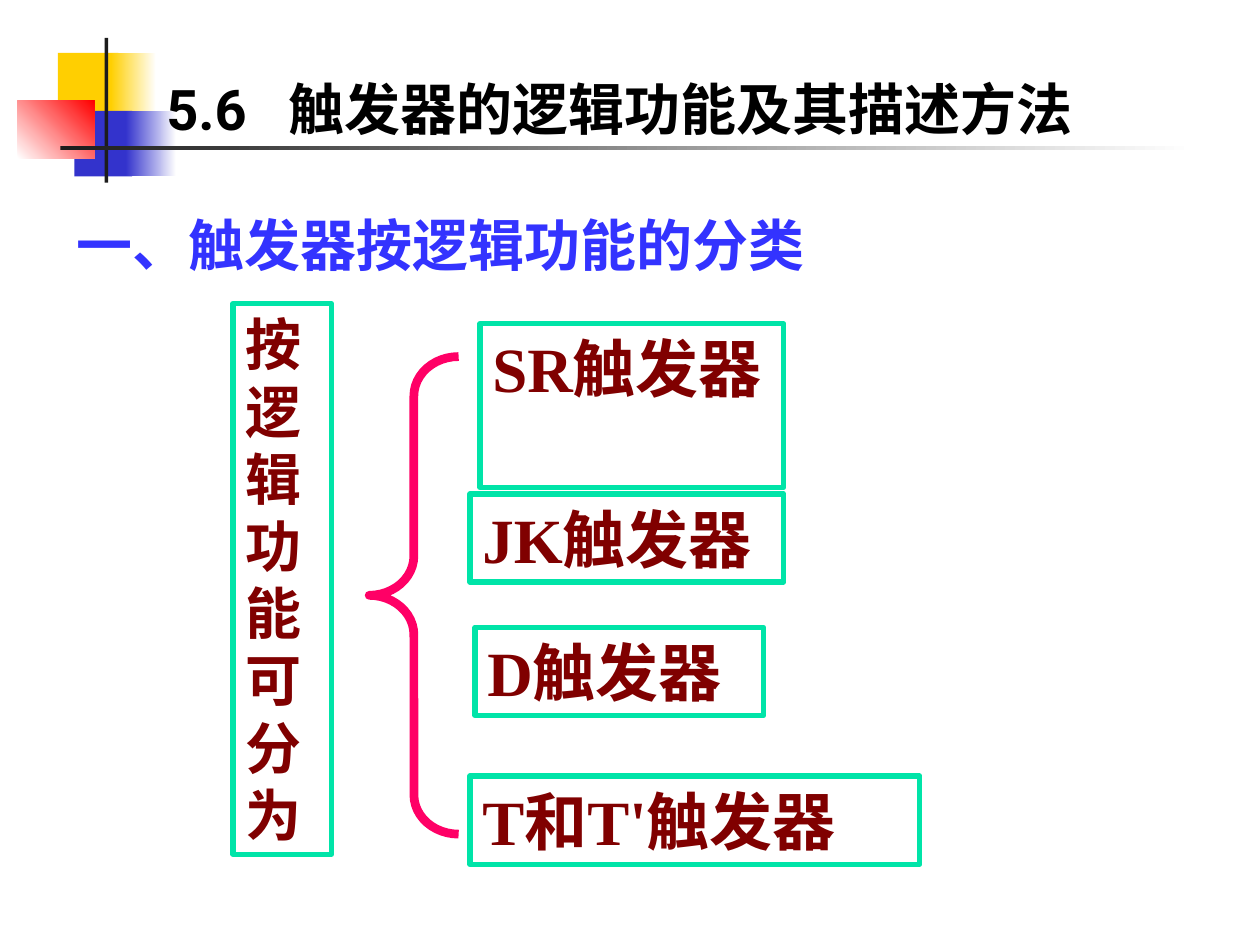
from dataclasses import dataclass

from lxml import etree
from pptx import Presentation, util as u
from pptx.dml.color import RGBColor
from pptx.enum import shapes, text
from pptx.oxml import ns


@dataclass(frozen=True)
class Theme:
    yellow: str = "FFCF01"
    blue: str = "3333CC"
    red: str = "FF0000"
    dark: str = "1C1C1C"
    white: str = "FFFFFF"
    title: str = "000000"
    heading: str = "3333FF"
    label: str = "800000"
    frame: str = "00E4A8"
    brace: str = "FF0066"
    title_font: str = "Roboto"
    body_font: str = "Times New Roman"
    text_size: int = 32
    type_size: int = 36
    frame_width: int = 3
    brace_width: int = 5


THEME = Theme()


def add_shape(kind, box, line=None, width=0):
    """Add an unfilled, shadowless shape; box is left, top, width, height in inches."""
    sp = s.shapes.add_shape(kind, *map(u.Inches, box))
    sp.shadow.inherit = False
    sp.fill.background()
    if line:
        sp.line.color.rgb = RGBColor.from_string(line)
        sp.line.width = u.Pt(width)
    else:
        sp.line.fill.background()
    return sp


def write(sp, words, size, color, font=THEME.body_font, anchor=text.MSO_ANCHOR.TOP):
    """Put one left-aligned bold run in sp and return its paragraph."""
    tf = sp.text_frame
    tf.word_wrap = True
    tf.auto_size = text.MSO_AUTO_SIZE.SHAPE_TO_FIT_TEXT
    tf.vertical_anchor = anchor
    p = tf.paragraphs[0]
    p.alignment = text.PP_ALIGN.LEFT
    r = p.add_run()
    r.text = words
    r.font.name = font
    r.font.size = u.Pt(size)
    r.font.bold = True
    r.font.color.rgb = RGBColor.from_string(color)
    return p


prs = Presentation()
prs.slide_width, prs.slide_height = u.Inches(10), u.Inches(7.5)
s = prs.slides.add_slide(prs.slide_layouts[5])
RECT = shapes.MSO_SHAPE.RECTANGLE

# Corner ornament: box, start colour, end colour, gradient angle
ornament = [
    ((0.46, 0.42, 0.48, 0.52), THEME.yellow, None, 0),
    ((0.88, 0.42, 0.36, 0.52), THEME.yellow, THEME.white, 0),
    ((0.59, 0.88, 0.46, 0.52), THEME.blue, None, 0),
    ((1, 0.88, 0.4, 0.52), THEME.blue, THEME.white, 0),
    ((0.14, 0.8, 0.61, 0.46), THEME.white, THEME.red, 45),
    ((0.83, 0.3, 0.03, 1.15), THEME.dark, None, 0),
    ((0.48, 1.16, 9, 0.03), THEME.dark, THEME.white, 0),
]
for box, start, end, angle in ornament:
    sp = add_shape(RECT, box)
    if end:
        sp.fill.gradient()
        sp.fill.gradient_angle = angle
        for stop, color in zip(sp.fill.gradient_stops, (start, end)):
            stop.color.rgb = RGBColor.from_string(color)
    else:
        sp.fill.solid()
        sp.fill.fore_color.rgb = RGBColor.from_string(start)

# Title, brought in front of the ornament
title = s.shapes.title
s.shapes._spTree.append(title._element)
title.left, title.top, title.width, title.height = map(u.Inches, (1.22, 0.6, 9.65, 0.58))
p = write(title, "5.6\t触发器的逻辑功能及其描述方法", THEME.text_size, THEME.title,
          THEME.title_font, text.MSO_ANCHOR.MIDDLE)
p.line_spacing = 0.9
tabs = etree.SubElement(p._p.get_or_add_pPr(), ns.qn("a:tabLst"))
etree.SubElement(tabs, ns.qn("a:tab"), pos=str(u.Inches(0.97)), algn="l")

# Section heading
heading = s.shapes.add_textbox(*map(u.Inches, (0.51, 1.62, 6.14, 0.64)))
write(heading, "一、触发器按逻辑功能的分类", THEME.text_size, THEME.heading)

# Classification: root label, brace, flip-flop types
root = add_shape(RECT, (1.85, 2.41, 0.78, 4.37), THEME.frame, THEME.frame_width)
write(root, "按逻辑功能可分为", THEME.text_size, THEME.label)

brace = add_shape(shapes.MSO_SHAPE.LEFT_BRACE, (2.93, 2.83, 0.71, 3.79),
                  THEME.brace, THEME.brace_width)
brace.adjustments[0] = 0.44

flip_flops = [
    ("SR触发器", (3.81, 2.57, 2.41, 1.3)),
    ("JK触发器", (3.73, 3.92, 2.49, 0.7)),
    ("D触发器", (3.77, 4.98, 2.29, 0.7)),
    ("T和T'触发器", (3.73, 6.16, 3.57, 0.7)),
]
for name, box in flip_flops:
    sp = add_shape(RECT, box, THEME.frame, THEME.frame_width)
    write(sp, name, THEME.type_size, THEME.label)

prs.save("out.pptx")
